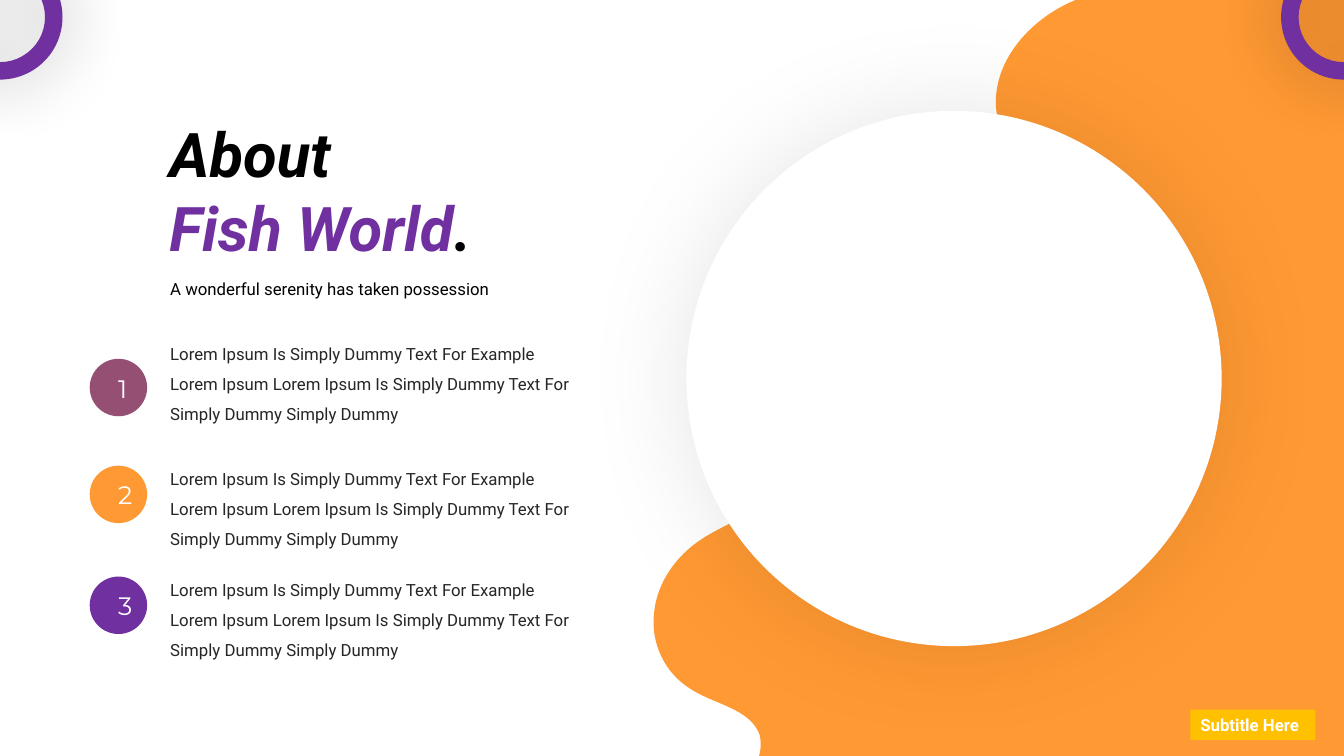
from lxml.etree import SubElement
from pptx import Presentation
from pptx.dml.color import RGBColor
from pptx.enum.shapes import MSO_SHAPE
from pptx.enum.text import MSO_ANCHOR, MSO_AUTO_SIZE, PP_ALIGN
from pptx.oxml.ns import qn
from pptx.util import Inches, Pt

ORANGE = RGBColor(0xFF, 0x99, 0x33)
PURPLE = RGBColor(0x70, 0x30, 0xA0)
MAUVE = RGBColor(0x95, 0x4F, 0x72)
AMBER = RGBColor(0xFF, 0xC0, 0x00)
WHITE = RGBColor(0xFF, 0xFF, 0xFF)
BLACK = RGBColor(0, 0, 0)
GREY = RGBColor(0x26, 0x26, 0x26)

LOREM = ("Lorem Ipsum Is Simply Dummy Text For Example "
         "Lorem Ipsum Lorem Ipsum Is Simply Dummy Text For "
         "Simply Dummy Simply Dummy")

# Colour, circle top and text top of each numbered item
ITEMS = [(MAUVE, 3.56, 3.26), (ORANGE, 4.62, 4.5), (PURPLE, 5.72, 5.6)]

# Left edge of the wave, from its foot to its crest:
# two control points and an end point for each curve
WAVE = [
    (1.07, 7.56), (1.07, 7.49), (1.06, 7.42),
    (0.97, 7.15), (0.61, 7.11), (0.38, 6.96),
    (0.11, 6.8), (-0.03, 6.49), (0.01, 6.19),
    (0.04, 5.9), (0.23, 5.63), (0.48, 5.47),
    (0.78, 5.27), (1.18, 5.18), (1.33, 4.88),
    (1.45, 4.63), (1.35, 4.33), (1.43, 4.07),
    (1.51, 3.77), (1.8, 3.56), (2.12, 3.44),
    (2.42, 3.32), (2.76, 3.27), (3.06, 3.15),
    (3.36, 3.02), (3.66, 2.8), (3.72, 2.5),
    (3.83, 2.04), (3.43, 1.62), (3.4, 1.17),
    (3.38, 0.71), (3.75, 0.3), (4.19, 0.12),
    (4.41, 0.04), (4.65, 0), (4.89, 0),
    (5.13, 0), (5.38, 0.03), (5.61, 0.09),
]


def paint(shape, color):
    shape.fill.solid()
    shape.fill.fore_color.rgb = color
    shape.line.fill.background()
    shape.shadow.inherit = False


def add_solid(slide, kind, color, left, top, width, height):
    shape = slide.shapes.add_shape(
        kind, Inches(left), Inches(top), Inches(width), Inches(height))
    paint(shape, color)
    return shape


def add_glow(shape, alpha, blur):
    """Add a centred black shadow: alpha in percent, blur in points."""
    effects = shape._element.spPr.find(qn("a:effectLst"))
    glow = SubElement(effects, qn("a:outerShdw"), blurRad=str(Pt(blur)),
                      dist="0", dir="0", algn="ctr", rotWithShape="0")
    black = SubElement(glow, qn("a:srgbClr"), val="000000")
    SubElement(black, qn("a:alpha"), val=str(alpha * 1000))


def set_font(para, name, size, color, bold=False):
    para.font.name = name
    para.font.size = Pt(size)
    para.font.bold = bold
    para.font.color.rgb = color


def bend(shape, first):
    """Turn each three line segments from the given one on into a curve."""
    lines = list(shape._element.iter(qn("a:lnTo")))[first:]
    for start in range(0, len(lines), 3):
        curve, *others = lines[start:start + 3]
        curve.tag = qn("a:cubicBezTo")
        for line in others:
            curve.append(line[0])
            line.getparent().remove(line)


def add_wave(slide, left, top, width, height):
    corners = [(5.76, 0.12), (width, 0.12), (width, height), (1.05, height)]
    places = [(Inches(left + x), Inches(top + y)) for x, y in corners + WAVE]
    builder = slide.shapes.build_freeform(*places[0], scale=1.0)
    builder.add_line_segments(places[1:], close=True)
    wave = builder.convert_to_shape()
    bend(wave, len(corners) - 1)
    paint(wave, ORANGE)


def add_title(slide, left, top, width, height):
    title = slide.shapes.title
    title.left, title.top = Inches(left), Inches(top)
    title.width, title.height = Inches(width), Inches(height)
    frame = title.text_frame
    frame.auto_size = MSO_AUTO_SIZE.NONE
    frame.vertical_anchor = MSO_ANCHOR.TOP
    lines = [frame.paragraphs[0], frame.add_paragraph()]
    lines[0].add_run().text = "About"
    name = lines[1].add_run()
    name.text = "Fish World"
    name.font.color.rgb = PURPLE
    lines[1].add_run().text = "."
    for line in lines:
        line.alignment = PP_ALIGN.LEFT
        set_font(line, "Roboto", 44, BLACK, bold=True)
        line.font.italic = True


def add_text(slide, text, color, left, top, width, height):
    box = slide.shapes.add_textbox(
        Inches(left), Inches(top), Inches(width), Inches(height))
    box.text_frame.word_wrap = True
    para = box.text_frame.paragraphs[0]
    para.text = text
    para.line_spacing = 1.5
    set_font(para, "Roboto", 12, color)


def add_item(slide, number, color, left, top, text_top):
    add_solid(slide, MSO_SHAPE.OVAL, color, left, top, 0.57, 0.57)
    label = add_solid(slide, MSO_SHAPE.RECTANGLE, color,
                      left + 0.19, top + 0.09, 0.19, 0.4)
    label.text_frame.word_wrap = True
    para = label.text_frame.paragraphs[0]
    para.text = str(number)
    para.alignment = PP_ALIGN.CENTER
    set_font(para, "Montserrat", 18, WHITE)
    add_text(slide, LOREM, GREY, left + 0.7, text_top, 4.28, 0.97)


def add_badge(slide, left, top, width, height):
    badge = add_solid(slide, MSO_SHAPE.RECTANGLE, AMBER,
                      left, top, width, height)
    badge.text_frame.word_wrap = False
    para = badge.text_frame.paragraphs[0]
    para.text = "Subtitle Here"
    para.alignment = PP_ALIGN.LEFT
    set_font(para, "Roboto", 12, WHITE, bold=True)


def add_ring(slide, left, top, size):
    ring = add_solid(slide, MSO_SHAPE.DONUT, PURPLE, left, top, size, size)
    ring.adjustments[0] = 0.14
    add_glow(ring, 33, 49)


def main():
    deck = Presentation()
    deck.slide_width, deck.slide_height = Inches(40 / 3), Inches(7.5)
    slide = deck.slides.add_slide(deck.slide_layouts.get_by_name("Title Only"))
    add_wave(slide, 6.48, -0.12, 6.86, 7.62)
    disc = add_solid(slide, MSO_SHAPE.OVAL, WHITE, 6.81, 1.1, 5.31, 5.31)
    add_glow(disc, 9, 77)
    add_title(slide, 1.58, 1.1, 5.22, 1.58)
    add_text(slide, "A wonderful serenity has taken possession", BLACK,
             1.59, 2.62, 4.42, 0.37)
    for number, (color, top, text_top) in enumerate(ITEMS, 1):
        add_item(slide, number, color, 0.89, top, text_top)
    add_badge(slide, 11.81, 7.04, 1.24, 0.3)
    for left in (-0.62, 12.71):
        add_ring(slide, left, -0.45, 1.24)
    deck.save("out.pptx")


if __name__ == "__main__":
    main()
